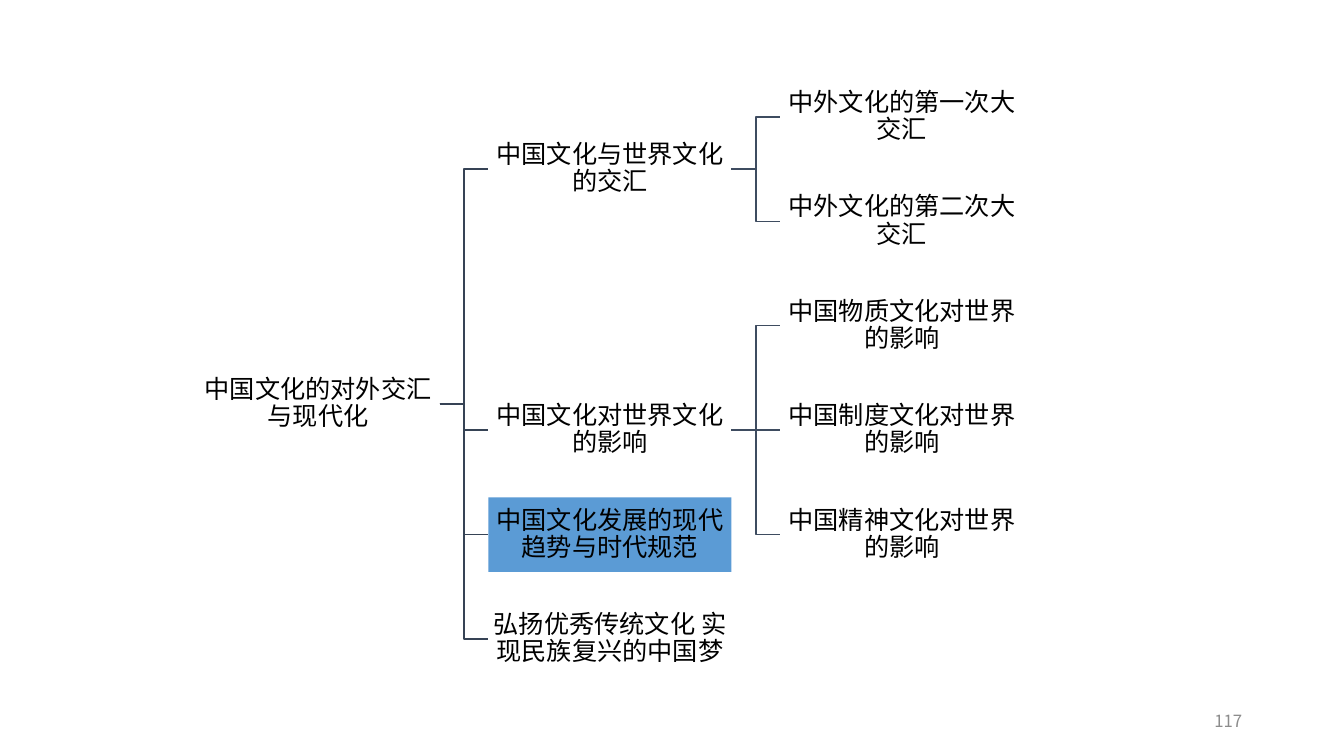
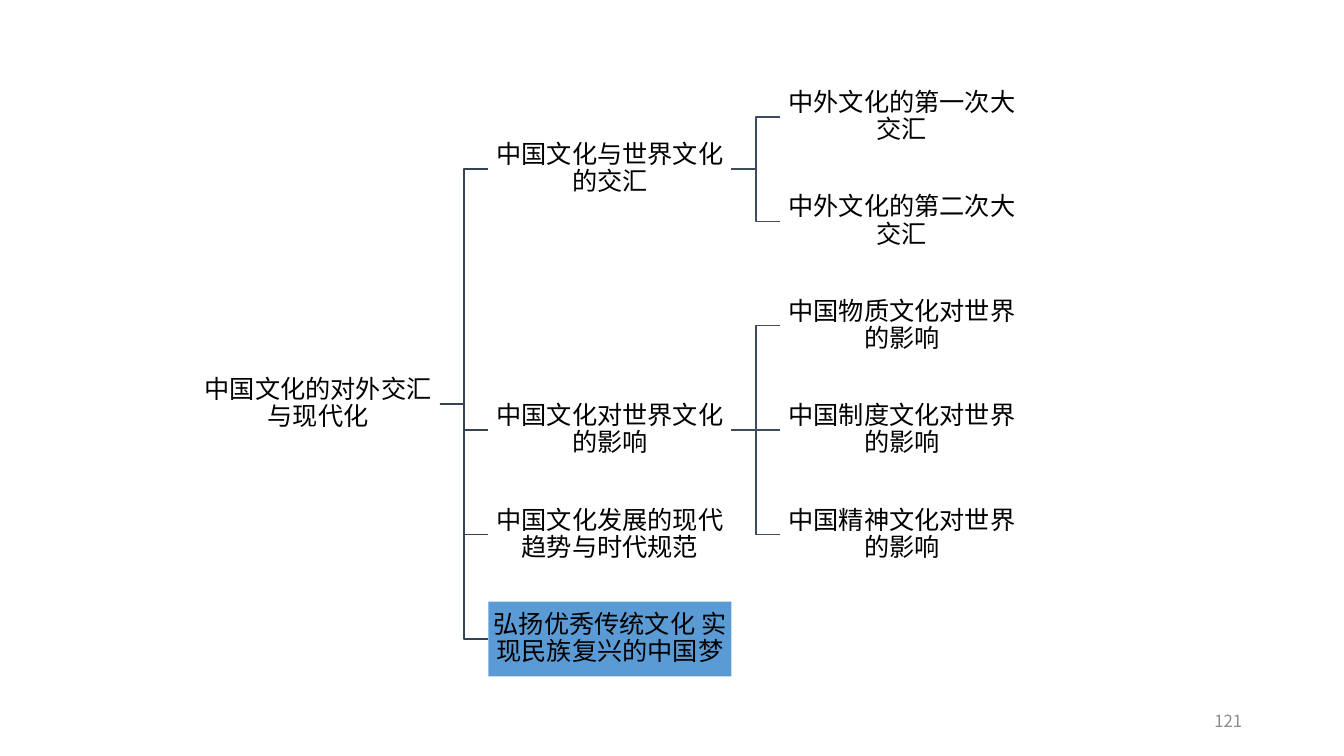
from lxml.etree import SubElement
from pptx import Presentation
from pptx.dml.color import RGBColor
from pptx.enum.shapes import MSO_CONNECTOR, MSO_SHAPE
from pptx.enum.text import MSO_ANCHOR, PP_ALIGN
from pptx.oxml.ns import qn
from pptx.util import Inches, Pt

FONT = "Noto Sans CJK SC"
BLACK = RGBColor(0x00, 0x00, 0x00)
WHITE = RGBColor(0xFF, 0xFF, 0xFF)
GRAY = RGBColor(0x8C, 0x8C, 0x8C)
HIGHLIGHT = RGBColor(0x5B, 0x9B, 0xD5)
LINE_COLORS = [RGBColor(0x36, 0x43, 0x55), RGBColor(0x3E, 0x4C, 0x60)]  # by level

# Tree grid, in inches
NODE_W, NODE_H = 2.41, 0.74
LEFT, TOP = 1.95, 0.79
COL_STEP, ROW_STEP = 2.895, 1.036

TREND = "中国文化发展的现代趋势与时代规范"
DREAM = "弘扬优秀传统文化 实现民族复兴的中国梦"
TREE = ("中国文化的对外交汇与现代化", [
    ("中国文化与世界文化的交汇", [
        ("中外文化的第一次大交汇", []),
        ("中外文化的第二次大交汇", []),
    ]),
    ("中国文化对世界文化的影响", [
        ("中国物质文化对世界的影响", []),
        ("中国制度文化对世界的影响", []),
        ("中国精神文化对世界的影响", []),
    ]),
    (TREND, []),
    (DREAM, []),
])

# Page number and highlighted topic of each slide
SLIDES = [("117", TREND), ("121", DREAM)]


def set_text(s, text, size=18, color=BLACK, align=PP_ALIGN.CENTER,
             spacing=None, inset=None):
    tf = s.text_frame
    tf.word_wrap = True
    tf.vertical_anchor = MSO_ANCHOR.MIDDLE
    if inset is not None:
        tf.margin_left = tf.margin_right = Inches(inset)
        tf.margin_top = tf.margin_bottom = Inches(inset)
    p = tf.paragraphs[0]
    p.alignment = align
    if spacing:
        p.line_spacing = spacing
    r = p.add_run()
    r.text = text
    r.font.size = Pt(size)
    r.font.name = FONT
    r.font.color.rgb = color
    SubElement(r.font._element, qn("a:ea"), typeface=FONT)


def add_node(slide, text, col, row, fill):
    s = slide.shapes.add_shape(
        MSO_SHAPE.RECTANGLE, Inches(LEFT + col * COL_STEP),
        Inches(TOP + row * ROW_STEP), Inches(NODE_W), Inches(NODE_H))
    s.shadow.inherit = False
    s.fill.solid()
    s.fill.fore_color.rgb = fill
    s.line.fill.background()
    set_text(s, text, spacing=0.9, inset=0.01)
    return s


def add_link(slide, parent, child, color):
    level = parent.top == child.top
    kind = MSO_CONNECTOR.STRAIGHT if level else MSO_CONNECTOR.ELBOW
    c = slide.shapes.add_connector(kind, 0, 0, 0, 0)
    c.begin_connect(parent, 3)
    c.end_connect(child, 1)
    c.line.color.rgb = color
    c.line.width = Pt(1)
    SubElement(c._element.spPr, qn("a:effectLst"))


def add_tree(slide, node, topic, next_rows, col=0):
    """Draw a branch and return its box and row; a parent sits midway."""
    text, children = node
    branches = [add_tree(slide, child, topic, next_rows, col + 1)
                for child in children]
    if branches:
        row = (branches[0][1] + branches[-1][1]) / 2
    else:
        row = next_rows[col]
    # A leaf below a parent starts on the next whole row of the grid
    next_rows[col] = max([row + 1] + next_rows[col + 1:] * (not children))
    if children:
        next_rows[col] = row + 1
    s = add_node(slide, text, col, row, HIGHLIGHT if text == topic else WHITE)
    for child, _ in branches:
        add_link(slide, s, child, LINE_COLORS[col])
    return s, row


def add_page_number(slide, number):
    s = slide.shapes.add_textbox(Inches(9.42), Inches(6.95), Inches(3), Inches(0.4))
    set_text(s, number, size=12, color=GRAY, align=PP_ALIGN.RIGHT)


def main():
    prs = Presentation()
    prs.slide_width, prs.slide_height = Inches(13.33), Inches(7.5)
    for number, topic in SLIDES:
        slide = prs.slides.add_slide(prs.slide_layouts[6])
        add_tree(slide, TREE, topic, [0, 0, 0])
        add_page_number(slide, number)
    prs.save("out.pptx")


if __name__ == "__main__":
    main()
